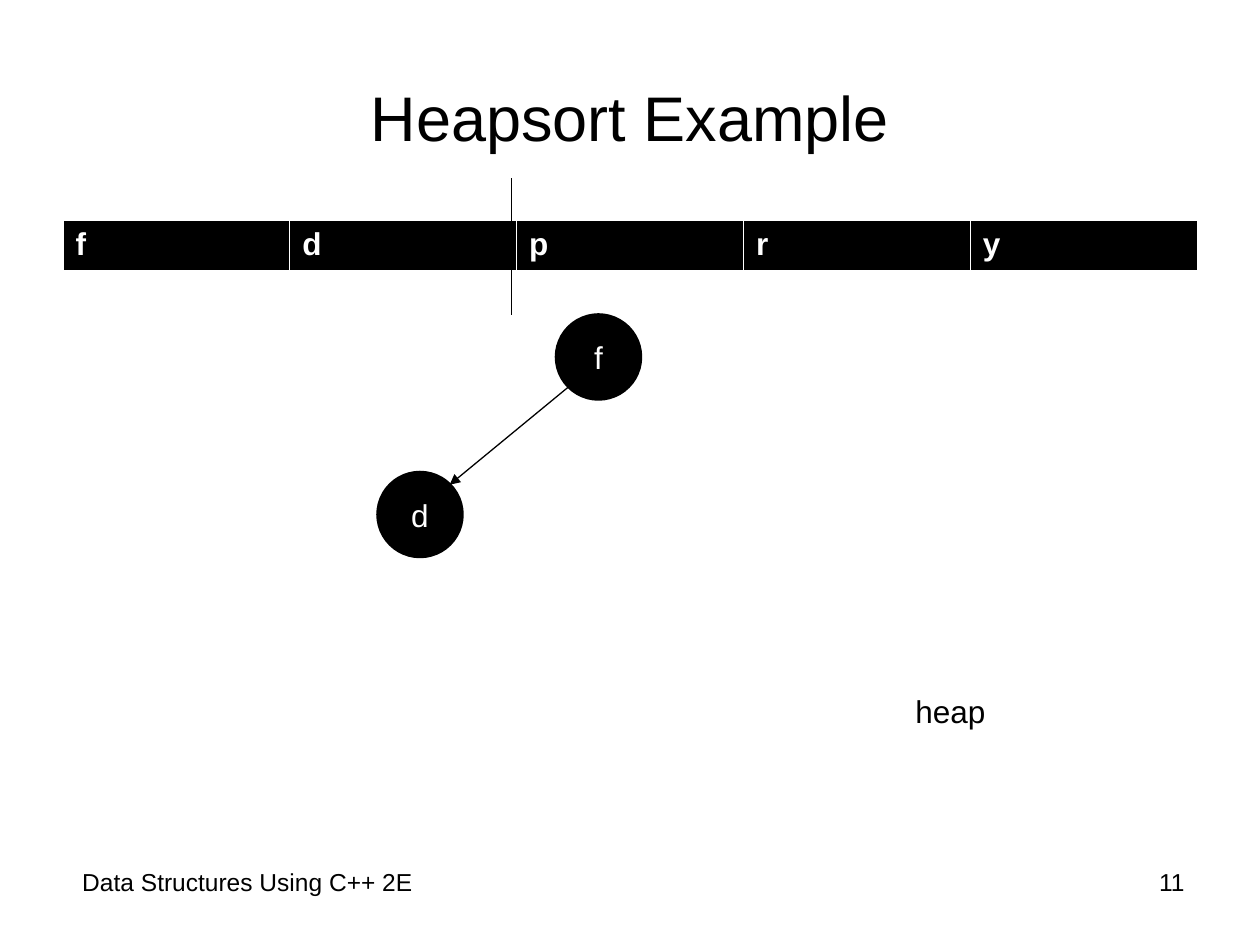
import math
from dataclasses import dataclass
from lxml import etree
from pptx import Presentation
from pptx.dml.color import RGBColor
from pptx.enum import shapes, text
from pptx.oxml.ns import qn
from pptx.util import Pt


@dataclass(frozen=True)
class Theme:
    font: str = "Arial"
    ink: RGBColor = RGBColor(0, 0, 0)
    paper: RGBColor = RGBColor(255, 255, 255)
    title: int = 36
    body: int = 18
    footer: int = 14


theme = Theme()
align = text.PP_ALIGN


def write(frame, words, size, color, alignment=align.LEFT, bold=False):
    frame.word_wrap = True
    paragraph = frame.paragraphs[0]
    paragraph.text = words
    paragraph.alignment = alignment
    font = paragraph.font
    font.name, font.size, font.bold = theme.font, Pt(size), bold
    font.color.rgb = color


def draw_line(x1, y1, x2, y2):
    line = slide.shapes.add_connector(
        shapes.MSO_CONNECTOR.STRAIGHT, Pt(x1), Pt(y1), Pt(x2), Pt(y2))
    line.line.color.rgb = theme.ink
    line.line.width = Pt(0.74)
    etree.SubElement(line._element.spPr, qn("a:effectLst"))
    return line


presentation = Presentation()
presentation.slide_width, presentation.slide_height = Pt(720), Pt(540)
slide = presentation.slides.add_slide(presentation.slide_layouts[5])

# Title
title = slide.shapes.title
title.left, title.top, title.width, title.height = Pt(36), Pt(21.6), Pt(648), Pt(90)
title.text_frame.vertical_anchor = text.MSO_ANCHOR.MIDDLE
write(title.text_frame, "Heapsort Example", theme.title, theme.ink, align.CENTER)

# Array, one cell per item
items = "fdpry"
table = slide.shapes.add_table(
    1, len(items), Pt(36), Pt(126), Pt(648), Pt(29.2)).table
borders = {"a:lnL": 0.45, "a:lnR": 0.45, "a:lnT": 0.45, "a:lnB": 1.47}
for cell, item in zip(table.rows[0].cells, items):
    write(cell.text_frame, item, theme.body, theme.paper, bold=True)
    properties = cell._tc.get_or_add_tcPr()
    for tag, width in borders.items():
        border = etree.SubElement(properties, qn(tag), w=str(Pt(width)))
        fill = etree.SubElement(border, qn("a:solidFill"))
        etree.SubElement(fill, qn("a:srgbClr"), val=str(theme.paper))
    cell.fill.solid()
    cell.fill.fore_color.rgb = theme.ink

# Footer, page number and heap label
labels = [
    ("Data Structures Using C++ 2E", 39.9, 491.8, 541.9, 37.4, theme.footer, align.LEFT),
    ("11", 617.8, 491.8, 66.2, 37.4, theme.footer, align.RIGHT),
    ("heap", 516, 391.7, 132, 28.8, theme.body, align.LEFT),
]
for words, left, top, width, height, size, alignment in labels:
    label = slide.shapes.add_textbox(Pt(left), Pt(top), Pt(width), Pt(height))
    write(label.text_frame, words, size, theme.ink, alignment)

# Heap nodes
diameter = 48
nodes = {"f": (318, 180), "d": (216, 270)}
for name, (left, top) in nodes.items():
    node = slide.shapes.add_shape(
        shapes.MSO_SHAPE.OVAL, Pt(left), Pt(top), Pt(diameter), Pt(diameter))
    node.shadow.inherit = False
    node.fill.solid()
    node.fill.fore_color.rgb = theme.ink
    node.line.color.rgb = theme.ink
    node.line.width = Pt(2)
    node.text_frame.vertical_anchor = text.MSO_ANCHOR.MIDDLE
    write(node.text_frame, name, theme.body, theme.paper, align.CENTER)

# Arrow from the parent's lower left to the child's upper right
near = diameter / 2 * (1 - math.sqrt(0.5))
far = diameter - near
(parent_x, parent_y), (child_x, child_y) = nodes["f"], nodes["d"]
arrow = draw_line(parent_x + near, parent_y + far, child_x + far, child_y + near)
etree.SubElement(arrow.line._get_or_add_ln(), qn("a:tailEnd"), type="triangle")

# Divider between heap and sorted part
draw_line(292.5, 102, 292.5, 180)

presentation.save("out.pptx")
